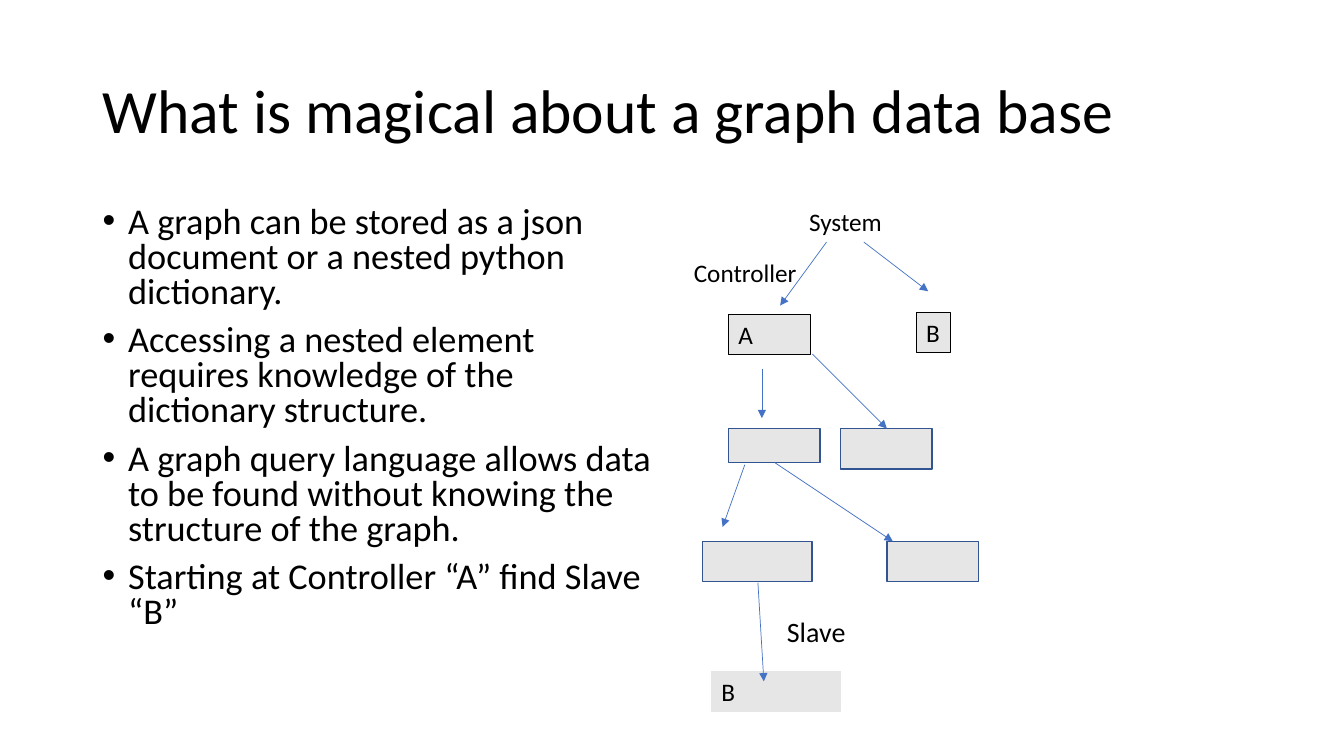
from pptx import Presentation
from pptx.dml.color import RGBColor
from pptx.enum.shapes import MSO_CONNECTOR, MSO_SHAPE
from pptx.enum.text import MSO_ANCHOR, PP_ALIGN
from pptx.oxml.ns import qn
from pptx.util import Cm, Pt
from lxml.etree import SubElement

COLORS = {"text": "000000", "node": "E7E6E6", "outline": "325491", "arrow": "4472C4"}


def color(name):
    return RGBColor.from_string(COLORS[name])


def write(shape, *paragraphs, size=18, align=PP_ALIGN.LEFT, anchor=MSO_ANCHOR.TOP,
          spacing=1.0, before=0, bullet=False, wrap=True):
    frame = shape.text_frame
    frame.word_wrap = wrap
    frame.vertical_anchor = anchor
    for index, text in enumerate(paragraphs):
        paragraph = frame.add_paragraph() if index else frame.paragraphs[0]
        paragraph.alignment = align
        paragraph.line_spacing = spacing
        paragraph.space_before = Pt(before)
        run = paragraph.add_run()
        run.text = text
        run.font.name = "Calibri"
        run.font.size = Pt(size)
        run.font.color.rgb = color("text")
        if bullet:
            properties = paragraph._p.get_or_add_pPr()
            properties.set("marL", str(Cm(0.64)))
            properties.set("indent", str(-Cm(0.64)))
            SubElement(properties, qn("a:buFont"), typeface="Arial")
            SubElement(properties, qn("a:buChar"), char="•")


presentation = Presentation()
presentation.slide_width, presentation.slide_height = Cm(33.87), Cm(19.05)
slide = presentation.slides.add_slide(presentation.slide_layouts[6])
shapes = slide.shapes

title = shapes.add_textbox(Cm(2.34), Cm(1.02), Cm(29.21), Cm(3.68))
write(title, "What is magical about a graph data base",
      size=44, anchor=MSO_ANCHOR.MIDDLE, spacing=0.9)

points = shapes.add_textbox(Cm(2.34), Cm(5.08), Cm(14.4), Cm(12.09))
write(points,
      "A graph can be stored as a json document or a nested python dictionary.",
      "Accessing a nested element requires knowledge of the dictionary structure.",
      "A graph query language allows data to be found without knowing the structure of the graph.",
      "Starting at Controller “A” find Slave “B”",
      size=25.9, spacing=0.8, before=10, bullet=True)

nodes = [
    ("A", 18.36, 7.92, 2.06, 1.02, "text", 0.75),
    ("B", 23.09, 7.87, 0.86, 1.02, "text", 0.75),
    ("", 18.36, 10.8, 2.31, 0.86, "outline", 1),
    ("", 17.7, 13.64, 2.77, 1.02, "outline", 1),
    ("", 21.18, 10.8, 2.31, 1.02, "outline", 1),
    ("", 22.35, 13.64, 2.31, 1.02, "outline", 1),
    ("B", 17.93, 16.92, 3.25, 1.02, "node", 0.75),
]
for name, left, top, width, height, border, weight in nodes:
    node = shapes.add_shape(MSO_SHAPE.RECTANGLE, Cm(left), Cm(top), Cm(width), Cm(height))
    node.shadow.inherit = False
    node.fill.solid()
    node.fill.fore_color.rgb = color("node")
    node.line.color.rgb = color(border)
    node.line.width = Pt(weight)
    if name:
        write(node, name, wrap=width > 1)

edges = [
    (20.83, 6.1, 19.66, 7.7),
    (21.77, 6.1, 23.39, 7.34),
    (19.2, 9.3, 19.2, 10.54),
    (18.77, 11.71, 18.21, 13.28),
    (19.53, 11.66, 22.5, 13.64),
    (19.1, 14.68, 19.25, 17.17),
    (20.47, 8.92, 22.35, 10.8),
]
for edge in edges:
    arrow = shapes.add_connector(MSO_CONNECTOR.STRAIGHT, *map(Cm, edge))
    arrow.line.color.rgb = color("arrow")
    arrow.line.width = Pt(0.5)
    SubElement(arrow.line._get_or_add_ln(), qn("a:tailEnd"), type="triangle")
    SubElement(arrow._element.spPr, qn("a:effectLst"))

labels = [
    ("System", 20.14, 5.08, 3.25, 1.02, 18, PP_ALIGN.LEFT, True),
    ("Controller", 17.22, 6.35, 3.12, 1.02, 18, PP_ALIGN.CENTER, False),
    ("Slave", 18.54, 15.37, 4.06, 1.12, 20, PP_ALIGN.CENTER, True),
]
for name, left, top, width, height, size, align, wrap in labels:
    label = shapes.add_textbox(Cm(left), Cm(top), Cm(width), Cm(height))
    write(label, name, size=size, align=align, wrap=wrap)

presentation.save("out.pptx")
